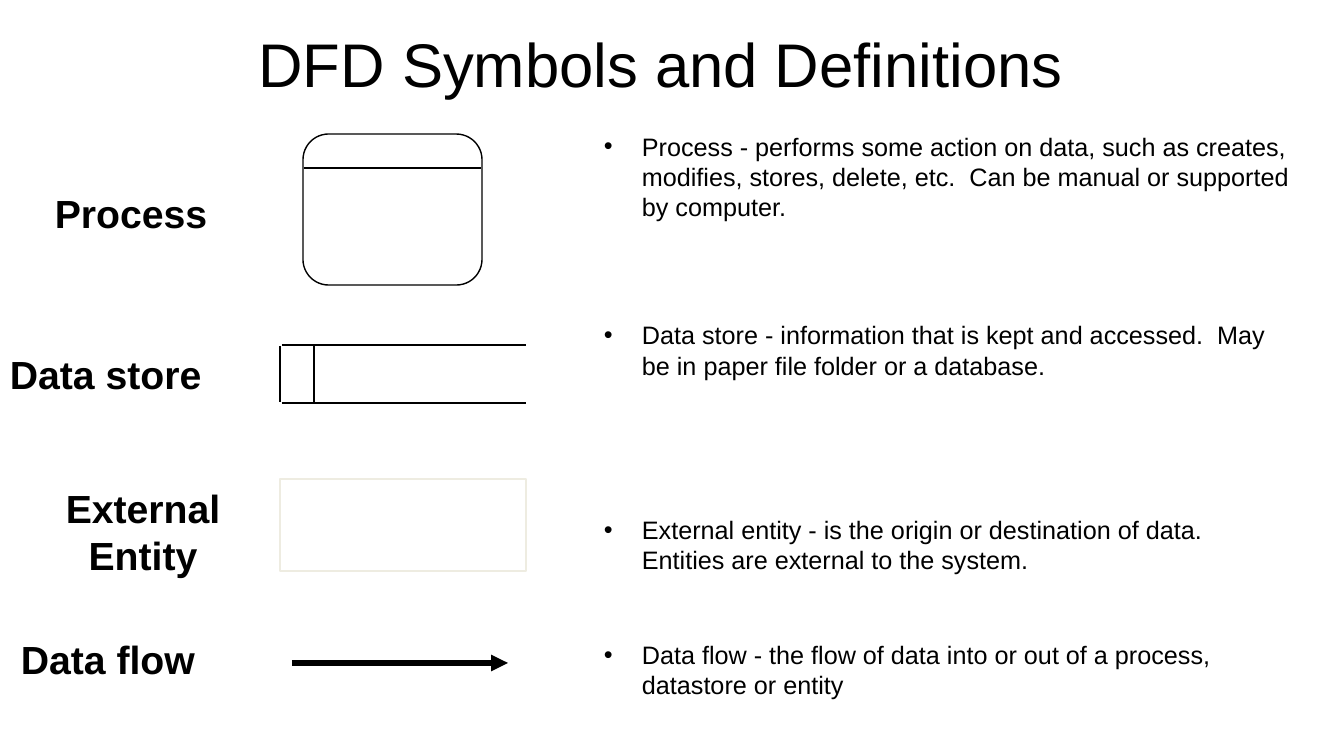
"""Build a slide that pairs each data flow diagram symbol with its definition."""
from dataclasses import dataclass

import lxml.etree
import pptx
import pptx.dml.color
import pptx.enum.dml
import pptx.enum.shapes
import pptx.enum.text
import pptx.oxml.ns
import pptx.util

ALIGN = pptx.enum.text.PP_ALIGN
ANCHOR = pptx.enum.text.MSO_ANCHOR
SHAPE = pptx.enum.shapes.MSO_SHAPE


@dataclass(frozen=True)
class Theme:
    """Colours, font and type sizes of the slide."""
    font: str = "Arial"
    ink: str = "000000"
    pale: str = "EEECE1"
    title: int = 44
    label: int = 28
    body: int = 18
    thin: int = 1
    thick: int = 4


THEME = Theme()
PX_PER_INCH = 100.8
BULLET_INDENT = 38

LABELS = [
    (["Process"], (45, 184, 174, 57), ALIGN.LEFT),
    (["Data store"], (0, 345, 214, 57), ALIGN.LEFT),
    (["External", "Entity"], (55, 479, 176, 105), ALIGN.CENTER),
    (["Data flow"], (11, 630, 197, 57), ALIGN.LEFT),
]

DEFINITIONS = [
    ("Process - performs some action on data, such as creates, modifies, "
     "stores, delete, etc.  Can be manual or supported by computer.", 0),
    ("Data store - information that is kept and accessed.  May be in paper "
     "file folder or a database.", 70),
    ("External entity - is the origin or destination of data.  Entities are "
     "external to the system.", 96),
    ("Data flow - the flow of data into or out of a process, datastore or "
     "entity", 46),
]


def px(length):
    """Turn a length in px into EMU."""
    return pptx.util.Emu(round(length * 914400 / PX_PER_INCH))


def rgb(colour):
    """Turn a hex string into a colour."""
    return pptx.dml.color.RGBColor.from_string(colour)


def add_element(parent, tag, **attributes):
    """Append a drawing element to an XML parent."""
    lxml.etree.SubElement(parent, pptx.oxml.ns.qn(tag), attributes)


def style(paragraph, size, bold=False):
    """Set the font of a whole paragraph."""
    paragraph.font.name = THEME.font
    paragraph.font.size = pptx.util.Pt(size)
    paragraph.font.bold = bold
    paragraph.font.color.rgb = rgb(THEME.ink)


def add_text(slide, lines, box, size, align=ALIGN.LEFT, bold=False,
             wrap=True, anchor=ANCHOR.TOP):
    """Add a text box with one paragraph per line and return its paragraphs."""
    frame = slide.shapes.add_textbox(*map(px, box)).text_frame
    frame.word_wrap = wrap
    frame.vertical_anchor = anchor
    frame.text = "\n".join(lines)
    for paragraph in frame.paragraphs:
        paragraph.alignment = align
        style(paragraph, size, bold)
    return frame.paragraphs


def add_definitions(slide, box):
    """Add the bulleted definitions, spaced to stand beside their symbols."""
    frame = slide.shapes.add_textbox(*map(px, box)).text_frame
    frame.word_wrap = True
    frame.text = "\n".join(text for text, _ in DEFINITIONS)
    for paragraph, (_, gap) in zip(frame.paragraphs, DEFINITIONS):
        properties = paragraph._p.get_or_add_pPr()
        properties.set("marL", str(px(BULLET_INDENT)))
        properties.set("indent", str(-px(BULLET_INDENT)))
        add_element(properties, "a:buFont", typeface=THEME.font)
        add_element(properties, "a:buChar", char="•")
        if gap:
            paragraph.space_before = pptx.util.Pt(gap)
        style(paragraph, THEME.body)


def add_outline(slide, kind, box, colour):
    """Add an unfilled shape with a thin outline."""
    outline = slide.shapes.add_shape(kind, *map(px, box))
    outline.shadow.inherit = False
    outline.fill.background()
    outline.line.color.rgb = rgb(colour)
    outline.line.width = pptx.util.Pt(THEME.thin)
    return outline


def add_line(slide, ends, width=THEME.thin, arrow=False):
    """Add a straight line, with an arrowhead at its far end if asked."""
    line = slide.shapes.add_connector(
        pptx.enum.shapes.MSO_CONNECTOR.STRAIGHT, *map(px, ends))
    line.line.color.rgb = rgb(THEME.ink)
    line.line.width = pptx.util.Pt(width)
    if arrow:
        add_element(line.line._get_or_add_ln(), "a:tailEnd", type="triangle")
    add_element(line._element.spPr, "a:effectLst")


def add_process(slide):
    """Draw the process symbol: a rounded box with a header rule."""
    process = add_outline(slide, SHAPE.ROUNDED_RECTANGLE,
                          (303, 134, 179, 151), THEME.ink)
    process.adjustments[0] = 0.17
    add_line(slide, (304, 168, 481, 168))


def add_data_store(slide):
    """Draw the data store symbol: an open-ended box with an identifier cell."""
    for y in (345, 403):
        add_line(slide, (282, y, 526, y))
    for x in (280, 314):
        add_line(slide, (x, 346, x, 402))


def main():
    """Build and save the slide."""
    deck = pptx.Presentation()
    deck.slide_width, deck.slide_height = px(1344), px(756)
    slide = deck.slides.add_slide(deck.slide_layouts[6])

    add_text(slide, ["DFD Symbols and Definitions"], (90, 0, 1142, 126),
             THEME.title, ALIGN.CENTER, anchor=ANCHOR.MIDDLE)
    for lines, box, align in LABELS:
        add_text(slide, lines, box, THEME.label, align, bold=True, wrap=False)

    add_process(slide)
    add_data_store(slide)
    add_outline(slide, SHAPE.RECTANGLE, (280, 479, 246, 92), THEME.pale)
    add_line(slide, (292, 663, 508, 663), THEME.thick, arrow=True)
    add_definitions(slide, (594, 126, 706, 521))

    deck.save("out.pptx")


if __name__ == "__main__":
    main()
